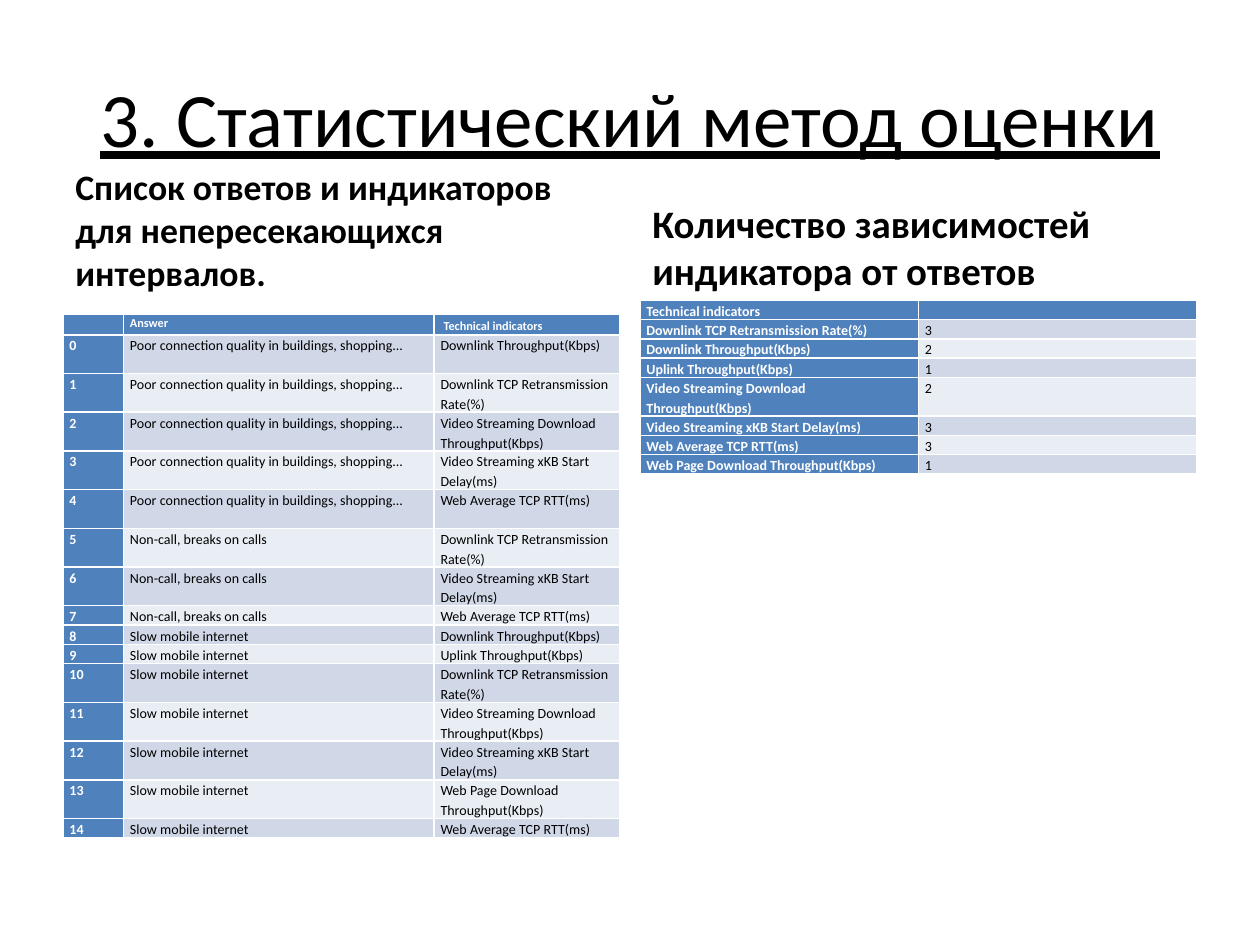
from lxml.etree import SubElement
from pptx import Presentation
from pptx.dml.color import RGBColor
from pptx.enum.text import MSO_ANCHOR, PP_ALIGN
from pptx.oxml.ns import qn
from pptx.util import Cm, Pt

BLACK = RGBColor(0x00, 0x00, 0x00)
WHITE = RGBColor(0xFF, 0xFF, 0xFF)
BLUE = RGBColor(0x4F, 0x81, 0xBD)
BANDS = [RGBColor(0xD0, 0xD8, 0xE8), RGBColor(0xE9, 0xED, 0xF4)]

LEFT, RIGHT, COLUMN_WIDTH = Cm(1.27), Cm(12.9), Cm(11.23)
SINGLE, DOUBLE = Cm(0.39), Cm(0.78)

DOWNLINK = "Downlink Throughput(Kbps)"
UPLINK = "Uplink Throughput(Kbps)"
RETRANSMISSION = "Downlink TCP Retransmission Rate(%)"
VIDEO_DOWNLOAD = "Video Streaming Download Throughput(Kbps)"
VIDEO_DELAY = "Video Streaming xKB Start Delay(ms)"
WEB_RTT = "Web Average TCP RTT(ms)"
WEB_DOWNLOAD = "Web Page Download Throughput(Kbps)"

ANSWERS = {
    "Poor connection quality in buildings, shopping...": [
        DOWNLINK, RETRANSMISSION, VIDEO_DOWNLOAD, VIDEO_DELAY, WEB_RTT],
    "Non-call, breaks on calls": [RETRANSMISSION, VIDEO_DELAY, WEB_RTT],
    "Slow mobile internet": [
        DOWNLINK, UPLINK, RETRANSMISSION, VIDEO_DOWNLOAD, VIDEO_DELAY,
        WEB_DOWNLOAD, WEB_RTT],
}
DEPENDENCIES = [
    (RETRANSMISSION, 3), (DOWNLINK, 2), (UPLINK, 1), (VIDEO_DOWNLOAD, 2),
    (VIDEO_DELAY, 3), (WEB_RTT, 3), (WEB_DOWNLOAD, 1),
]


def style(paragraph, size, color, bold=False):
    font = paragraph.font
    font.name, font.size, font.bold = "Calibri", Pt(size), bold
    font.color.rgb = color


def add_indicator_table(left, top, widths, heights, rows):
    """Add a table with a blue header row and first column, and banded rows."""
    table = slide.shapes.add_table(
        len(rows), len(widths), left, top, sum(widths), sum(heights)).table
    table.first_col = True
    for column, width in zip(table.columns, widths):
        column.width = width
    for r, (values, height) in enumerate(zip(rows, heights)):
        table.rows[r].height = height
        for c, value in enumerate(values):
            cell = table.cell(r, c)
            heading = r == 0 or c == 0
            cell.margin_left = cell.margin_right = Cm(0.13)
            cell.margin_top = cell.margin_bottom = 0
            cell.fill.solid()
            cell.fill.fore_color.rgb = BLUE if heading else BANDS[(r - 1) % 2]
            paragraph = cell.text_frame.paragraphs[0]
            paragraph.line_spacing = 1.15
            style(paragraph, 8, WHITE if heading else BLACK, heading)
            if value:
                paragraph.add_run().text = value
            else:
                # An empty cell takes its line height from the end mark.
                SubElement(paragraph._p, qn("a:endParaRPr"), sz="800")
    return table


presentation = Presentation()
presentation.slide_width, presentation.slide_height = Cm(25.4), Cm(19.05)
slide = presentation.slides.add_slide(presentation.slide_layouts[5])

title = slide.shapes.title
title.left, title.top, title.width, title.height = Cm(1.27), Cm(0.76), Cm(22.86), Cm(3.18)
title.text_frame.text = "3. Статистический метод оценки"
title.text_frame.vertical_anchor = MSO_ANCHOR.MIDDLE
title_line = title.text_frame.paragraphs[0]
title_line.alignment = PP_ALIGN.CENTER
style(title_line, 44, BLACK)
title_line.font.underline = True

for left, size, heading in [
    (LEFT, 20.4, "Список ответов и индикаторов для непересекающихся интервалов."),
    (RIGHT, 22.2, "Количество зависимостей индикатора от ответов"),
]:
    frame = slide.shapes.add_textbox(left, Cm(4.26), COLUMN_WIDTH, Cm(1.78)).text_frame
    frame.word_wrap = True
    frame.vertical_anchor = MSO_ANCHOR.BOTTOM
    frame.text = heading
    frame.paragraphs[0].space_before = Pt(size * 0.2)
    style(frame.paragraphs[0], size, BLACK, True)

answer_rows = [("", "Answer", "")]
for answer, indicators in ANSWERS.items():
    for indicator in indicators:
        answer_rows.append((str(len(answer_rows) - 1), answer, indicator))
answer_heights = [Cm(0.42)] + [DOUBLE] * 7 + [SINGLE] * 3 + [DOUBLE] * 4 + [SINGLE]
answer_table = add_indicator_table(
    LEFT, Cm(6.33), [Cm(1.22), Cm(6.26), Cm(3.75)], answer_heights, answer_rows)
answer_table.cell(0, 1).text_frame.paragraphs[0].font.size = Pt(7)
indicator_header = answer_table.cell(0, 2).text_frame.paragraphs[0]
for text, size in [("\N{NO-BREAK SPACE}", 8), ("Technical indicators", 7)]:
    run = indicator_header.add_run()
    run.text, run.font.size = text, Pt(size)

dependency_rows = [("Technical indicators", "")]
dependency_rows += [(indicator, str(count)) for indicator, count in DEPENDENCIES]
add_indicator_table(
    RIGHT, Cm(6.05), [COLUMN_WIDTH // 2] * 2, [SINGLE] * len(dependency_rows), dependency_rows)

presentation.save("out.pptx")
